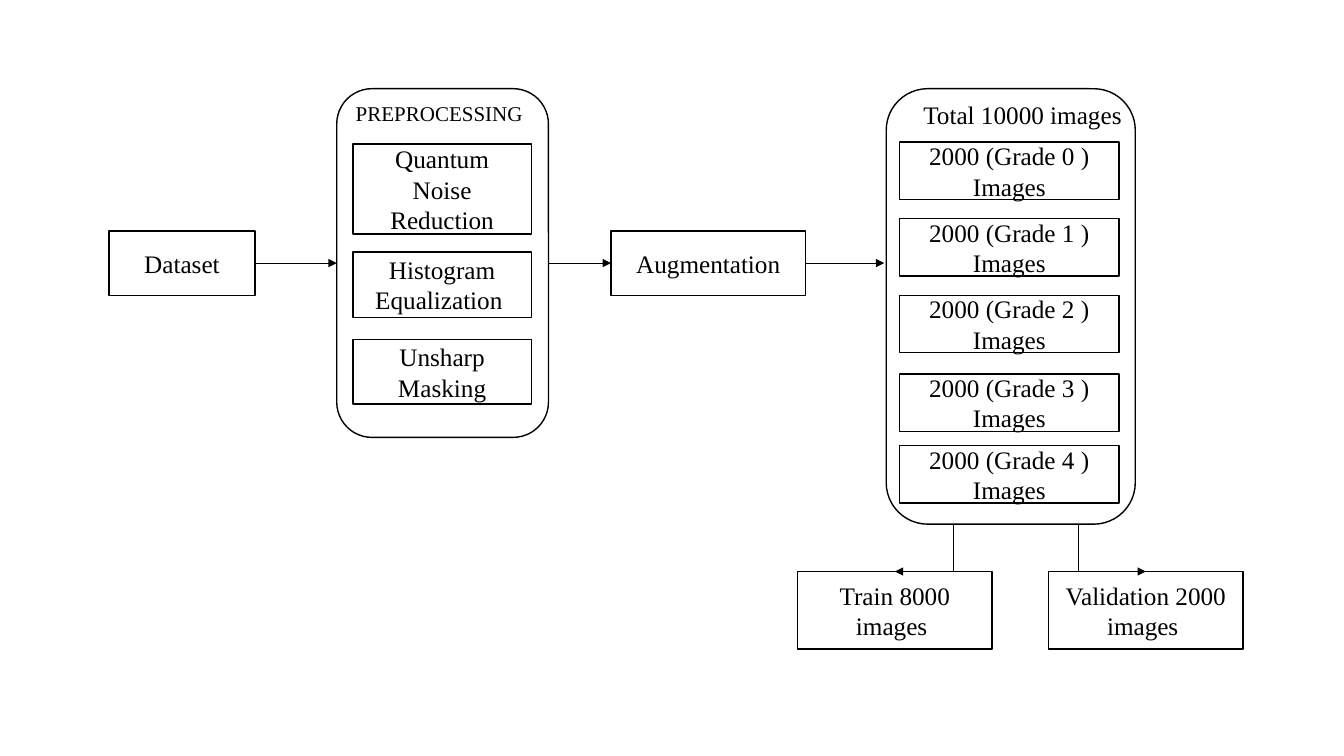
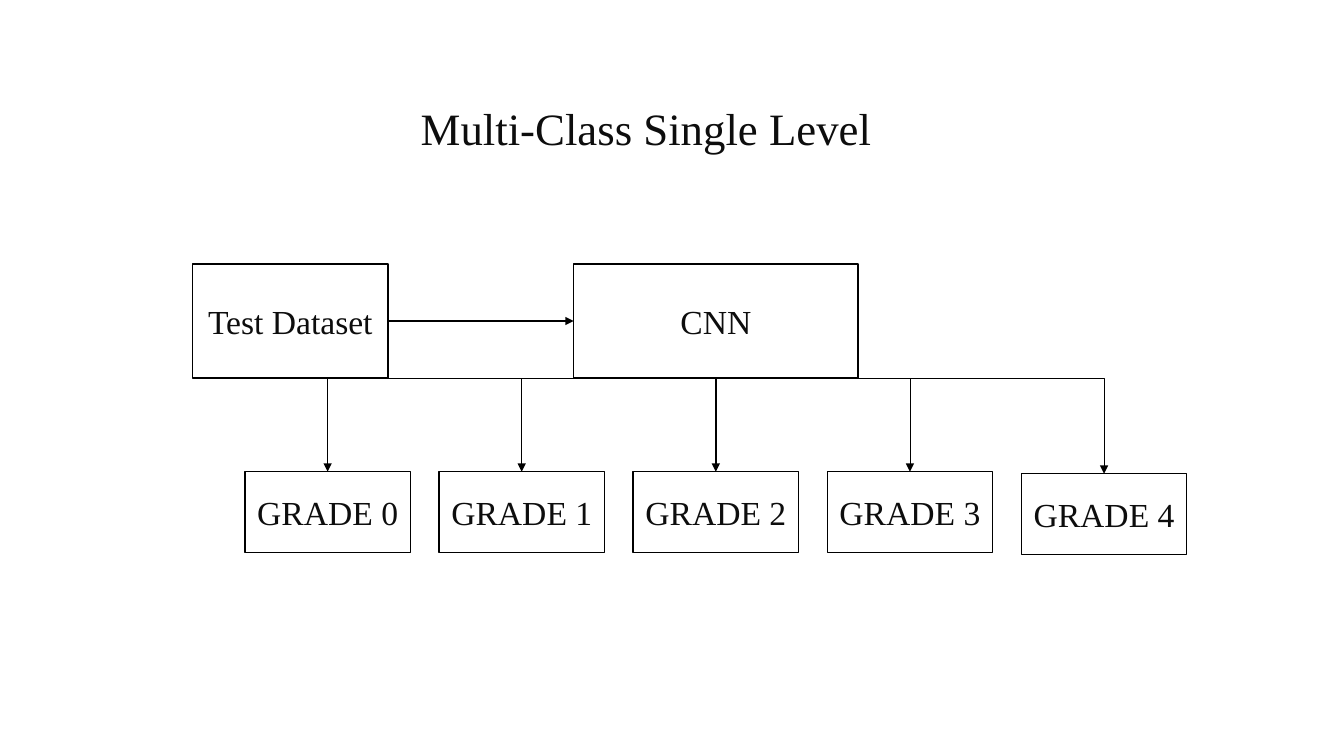
from dataclasses import dataclass

from lxml import etree
from pptx import Presentation
from pptx.dml.color import RGBColor
from pptx.enum.shapes import MSO_CONNECTOR, MSO_SHAPE
from pptx.enum.text import MSO_ANCHOR, PP_ALIGN
from pptx.oxml.ns import qn
from pptx.shapes.autoshape import Shape
from pptx.shapes.connector import Connector
from pptx.slide import Slide
from pptx.text.text import TextFrame
from pptx.util import Inches, Pt

RECT = MSO_SHAPE.RECTANGLE
ROUND = MSO_SHAPE.ROUNDED_RECTANGLE
LINE = MSO_CONNECTOR.STRAIGHT
ELBOW = MSO_CONNECTOR.ELBOW
MIDDLE = MSO_ANCHOR.MIDDLE
TOP_TEXT = MSO_ANCHOR.TOP
LEFT_TEXT = PP_ALIGN.LEFT
CENTER = PP_ALIGN.CENTER

FONT = "Times New Roman"
BLACK = RGBColor(0x00, 0x00, 0x00)
INK = RGBColor(0x0D, 0x0D, 0x0D)
WHITE = RGBColor(0xFF, 0xFF, 0xFF)

TOP, LEFT, BOTTOM, RIGHT = range(4)


@dataclass(frozen=True)
class Box:
    x: float
    y: float
    w: float
    h: float
    text: str = ""
    size: int = 18
    color: RGBColor = BLACK


@dataclass(frozen=True)
class Arrow:
    x1: float
    y1: float
    x2: float
    y2: float
    width: float = 0.5
    kind: MSO_CONNECTOR = LINE


def write(frame: TextFrame, box: Box, align: PP_ALIGN) -> None:
    para = frame.paragraphs[0]
    para.alignment = align
    run = para.add_run()
    run.text = box.text
    run.font.name = FONT
    run.font.size = Pt(box.size)
    run.font.color.rgb = box.color


def add_box(slide: Slide, box: Box, form: MSO_SHAPE = RECT) -> Shape:
    shape = slide.shapes.add_shape(
        form, Inches(box.x), Inches(box.y), Inches(box.w), Inches(box.h))
    shape.shadow.inherit = False
    shape.fill.solid()
    shape.fill.fore_color.rgb = WHITE
    shape.line.color.rgb = BLACK
    shape.line.width = Pt(1)
    if box.text:
        shape.text_frame.word_wrap = True
        shape.text_frame.vertical_anchor = MIDDLE
        write(shape.text_frame, box, CENTER)
    return shape


def add_label(slide: Slide, box: Box, wrap: bool) -> None:
    label = slide.shapes.add_textbox(
        Inches(box.x), Inches(box.y), Inches(box.w), Inches(box.h))
    label.text_frame.word_wrap = wrap
    label.text_frame.vertical_anchor = TOP_TEXT
    write(label.text_frame, box, LEFT_TEXT)


def add_title(slide: Slide, box: Box) -> None:
    title = slide.shapes.title
    title.left, title.top = Inches(box.x), Inches(box.y)
    title.width, title.height = Inches(box.w), Inches(box.h)
    title.text_frame.word_wrap = True
    title.text_frame.vertical_anchor = MIDDLE
    write(title.text_frame, box, CENTER)


def add_arrow(slide: Slide, arrow: Arrow) -> Connector:
    line = slide.shapes.add_connector(
        arrow.kind, Inches(arrow.x1), Inches(arrow.y1),
        Inches(arrow.x2), Inches(arrow.y2))
    line.line.color.rgb = BLACK
    line.line.width = Pt(arrow.width)
    props = line._element.spPr
    etree.SubElement(props.find(qn("a:ln")), qn("a:tailEnd"), type="triangle")
    etree.SubElement(props, qn("a:effectLst"))
    return line


def add_corner(slide: Slide, arrow: Arrow) -> None:
    line = add_arrow(slide, arrow)
    line._element.spPr.find(qn("a:prstGeom")).set("prst", "bentConnector2")


def draw_data(slide: Slide) -> None:
    source = add_box(slide, Box(1.08, 2.29, 1.45, 0.64, "Dataset"))
    prep = add_box(slide, Box(3.34, 0.88, 2.1, 3.46), ROUND)
    steps = (
        (1.43, 0.89, "Quantum Noise Reduction"),
        (2.5, 0.65, "Histogram Equalization "),
        (3.37, 0.64, "Unsharp Masking"),
    )
    for y, h, text in steps:
        add_box(slide, Box(3.5, y, 1.77, h, text))
    add_label(slide, Box(3.43, 0.95, 1.92, 0.35, "PREPROCESSING", 15), True)
    augment = add_box(slide, Box(6.06, 2.29, 1.93, 0.64, "Augmentation"))

    add_box(slide, Box(8.79, 0.88, 2.47, 4.32), ROUND)
    add_label(slide, Box(9.06, 0.94, 2.2, 0.4, "Total 10000 images"), False)
    for grade, y in enumerate((1.41, 2.17, 2.93, 3.71, 4.42)):
        add_box(slide, Box(8.92, y, 2.18, 0.57,
                           f"2000 (Grade {grade} ) Images"))

    feed = add_arrow(slide, Arrow(2.53, 2.61, 3.34, 2.61))
    feed.begin_connect(source, RIGHT)
    feed.end_connect(prep, LEFT)
    clean = add_arrow(slide, Arrow(5.44, 2.61, 6.06, 2.61))
    clean.begin_connect(prep, RIGHT)
    clean.end_connect(augment, LEFT)
    grow = add_arrow(slide, Arrow(7.99, 2.61, 8.77, 2.61))
    grow.begin_connect(augment, RIGHT)

    for x, text in ((7.91, "Train 8000 images "),
                    (10.4, "Validation 2000 images ")):
        add_box(slide, Box(x, 5.67, 1.93, 0.77, text))
        add_arrow(slide, Arrow(10.03, 5.2, x + 1.93 / 2, 5.67, kind=ELBOW))


def draw_model(slide: Slide) -> None:
    add_title(slide, Box(1.4, 0.95, 10.02, 0.64,
                         "Multi-Class Single Level", 32, INK))
    test = add_box(slide, Box(1.91, 2.62, 1.94, 1.13, "Test Dataset", 24, INK))
    model = add_box(slide, Box(5.69, 2.62, 2.82, 1.13, "CNN", 24, INK))
    feed = add_arrow(slide, Arrow(3.85, 3.18, 5.69, 3.18, 1))
    feed.begin_connect(test, RIGHT)
    feed.end_connect(model, LEFT)

    first, last, width, mid, base = 2.43, 10.13, 1.64, 7.1, 3.75
    step = (last - first) / 4
    for grade, y in enumerate((4.68, 4.68, 4.68, 4.68, 4.7)):
        x = first + grade * step
        box = add_box(slide, Box(x, y, width, 0.8, f"GRADE {grade}", 24, INK))
        if grade == 2:
            drop = add_arrow(slide, Arrow(mid, base, mid, y, 1))
            drop.begin_connect(model, BOTTOM)
            drop.end_connect(box, TOP)
        else:
            add_corner(slide, Arrow(mid, base, x + width / 2, y, kind=ELBOW))


def main() -> None:
    deck = Presentation()
    deck.slide_width, deck.slide_height = Inches(13.33), Inches(7.5)
    plain, titled = deck.slide_layouts[6], deck.slide_layouts[5]
    draw_data(deck.slides.add_slide(plain))
    draw_model(deck.slides.add_slide(titled))
    deck.save("out.pptx")


if __name__ == "__main__":
    main()
